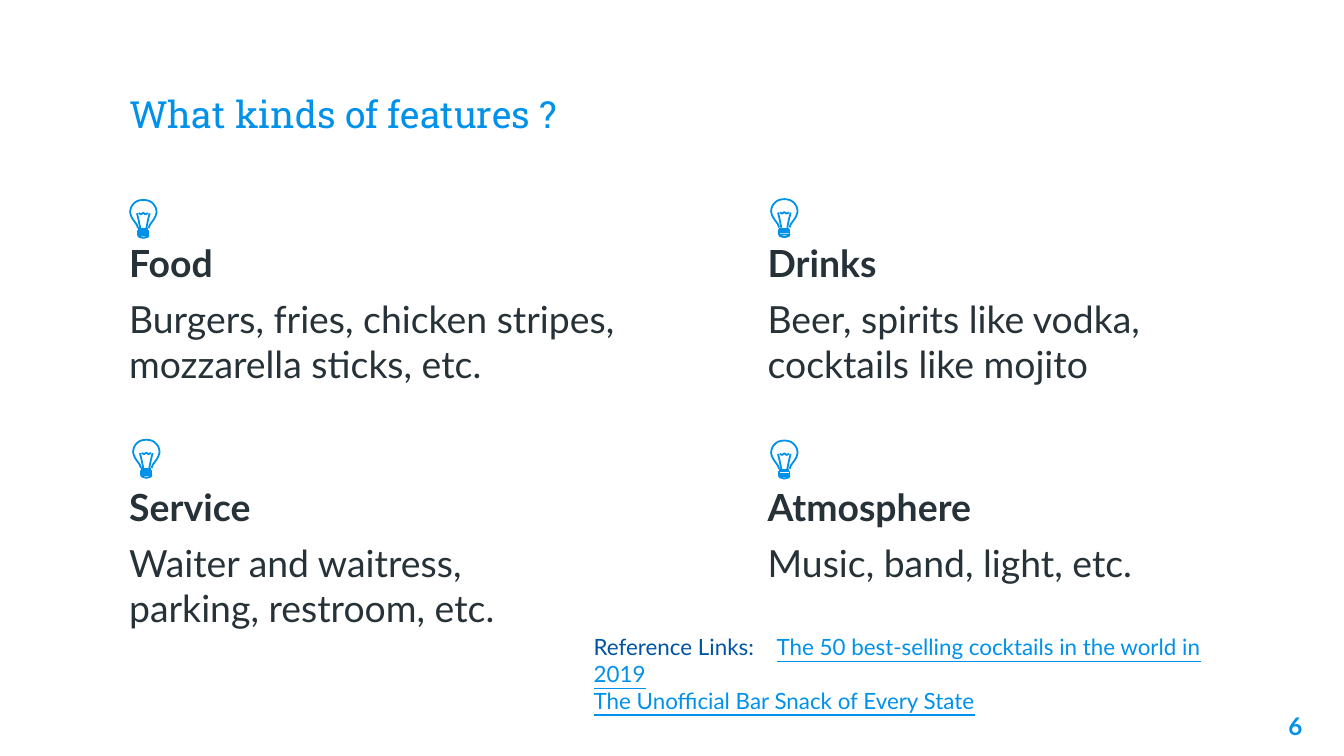
from pptx import Presentation
from pptx.dml.color import RGBColor
from pptx.enum.text import MSO_ANCHOR, MSO_AUTO_SIZE, PP_ALIGN
from pptx.util import Pt
from lxml.etree import SubElement
from pptx.oxml.ns import qn

BLUE = RGBColor(0x00, 0x91, 0xEA)
NAVY = RGBColor(0x00, 0x53, 0xA3)
DARK = RGBColor(0x26, 0x32, 0x38)

TOPICS = [
    ("Food", "Burgers, fries, chicken stripes, mozzarella sticks, etc.",
     (62, 121.7, 284.4, 92), (76.8, 107.1)),
    ("Drinks", "Beer, spirits like vodka, cocktails like mojito",
     (404, 121.7, 254, 92), (420.2, 106.7)),
    ("Service", "Waiter and waitress, parking, restroom, etc.",
     (62, 252, 254, 86.4), (78.4, 235.6)),
    ("Atmosphere", "Music, band, light, etc.",
     (404, 252, 240.5, 86.4), (420.2, 236)),
]

GLASS = [(2.8, 15.2), (3.2, 14.2), (3.5, 13.4), (4, 12.7), (5.3, 10.9),
         (6, 9.8), (6.5, 8.8), (6.9, 7.6), (7.1, 6.6), (6.9, 5), (6.4, 3.7),
         (5.6, 2.5), (4.6, 1.5), (3.4, 0.7), (1.8, 0.2), (0, 0)]
CAP = [(2.7, 18.9), (2.6, 19.4), (2.2, 19.8), (0.5, 20.3)]
COIL = [(2.5, 7.1), (1.2, 7.8), (0, 6.9)]
WIRE = [(3.4, 7.2), (2.5, 10.8), (1.6, 15.3)]
NECK = [(2.7, 15.7)]
RINGS = [[(2.7, y), (2.7, y + 1.15)] for y in (16.6, 17.75)]


def flip(half):
    return [(-x, y) for x, y in half]


def whole(half):
    return half + [(x, y) for x, y in reversed(flip(half)) if x]


def draw(group, spot, points, close=False):
    dots = [(Pt(spot[0] + x), Pt(spot[1] + y)) for x, y in points]
    pen = group.shapes.build_freeform(*dots[0], scale=1.0)
    pen.add_line_segments(dots[1:], close=close)
    shape = pen.convert_to_shape()
    shape.shadow.inherit = False
    shape.fill.background()
    shape.line.color.rgb = BLUE
    shape.line.width = Pt(0.96)


def add_bulb(slide, spot):
    group = slide.shapes.add_group_shape()
    for half in RINGS + [CAP]:
        draw(group, spot, whole(half), True)
    for half in (GLASS, COIL, NECK):
        draw(group, spot, whole(half))
    for side in (WIRE, flip(WIRE)):
        draw(group, spot, side)


def place(shape, box, anchor=MSO_ANCHOR.TOP):
    shape.left, shape.top, shape.width, shape.height = map(Pt, box)
    frame = shape.text_frame
    frame.word_wrap = True
    frame.auto_size = MSO_AUTO_SIZE.NONE
    frame.vertical_anchor = anchor
    frame.margin_left = frame.margin_right = Pt(7.2)
    frame.margin_top = frame.margin_bottom = Pt(7.2)
    return frame


def style(font, size, color, bold=False, name="Lato"):
    font.name = name
    font.size = Pt(size)
    font.bold = bold
    font.color.rgb = color


def fill_title(shape, text):
    frame = place(shape, (62, 24.5, 596, 55.4), MSO_ANCHOR.BOTTOM)
    frame.text = text
    line = frame.paragraphs[0]
    line.alignment = PP_ALIGN.LEFT
    style(line.font, 20, BLUE, name="Roboto Slab")


def fill_body(shape, head, text, box):
    frame = place(shape, box)
    frame.text = f"{head}\n{text}"
    for line, bold in zip(frame.paragraphs, (True, False)):
        props = line._p.get_or_add_pPr()
        props.set("marL", "0")
        props.set("indent", "0")
        SubElement(props, qn("a:buNone"))
        line.space_before = Pt(6)
        style(line.font, 20, DARK, bold)


def add_text(slide, box):
    return place(slide.shapes.add_textbox(0, 0, 0, 0), box)


def add_link(line, text):
    run = line.add_run()
    run.text = text
    run.font.color.rgb = BLUE
    run.font.underline = True


def add_refs(slide):
    frame = add_text(slide, (311, 332, 363, 49))
    first, last = frame.paragraphs[0], frame.add_paragraph()
    tabs = SubElement(first._p.get_or_add_pPr(), qn("a:tabLst"))
    SubElement(tabs, qn("a:tab"), pos=str(Pt(98)), algn="l")
    for line in (first, last):
        style(line.font, 12, NAVY)
    first.add_run().text = "Reference Links:\t"
    add_link(first, "The 50 best-selling cocktails in the world in 2019")
    add_link(last, "The Unofficial Bar Snack of Every State")


def add_number(slide, text):
    frame = add_text(slide, (661.7, 373.7, 43.2, 31))
    frame.text = text
    line = frame.paragraphs[0]
    line.alignment = PP_ALIGN.RIGHT
    style(line.font, 13, BLUE, True)


def main():
    deck = Presentation()
    deck.slide_width, deck.slide_height = Pt(720), Pt(405)
    slide = deck.slides.add_slide(deck.slide_layouts.get_by_name("Comparison"))
    title, *bodies = slide.placeholders
    fill_title(title, "What kinds of features ?")
    for shape, (head, text, box, spot) in zip(bodies, TOPICS):
        fill_body(shape, head, text, box)
        add_bulb(slide, spot)
    add_number(slide, "6")
    add_refs(slide)
    deck.save("out.pptx")


if __name__ == "__main__":
    main()
